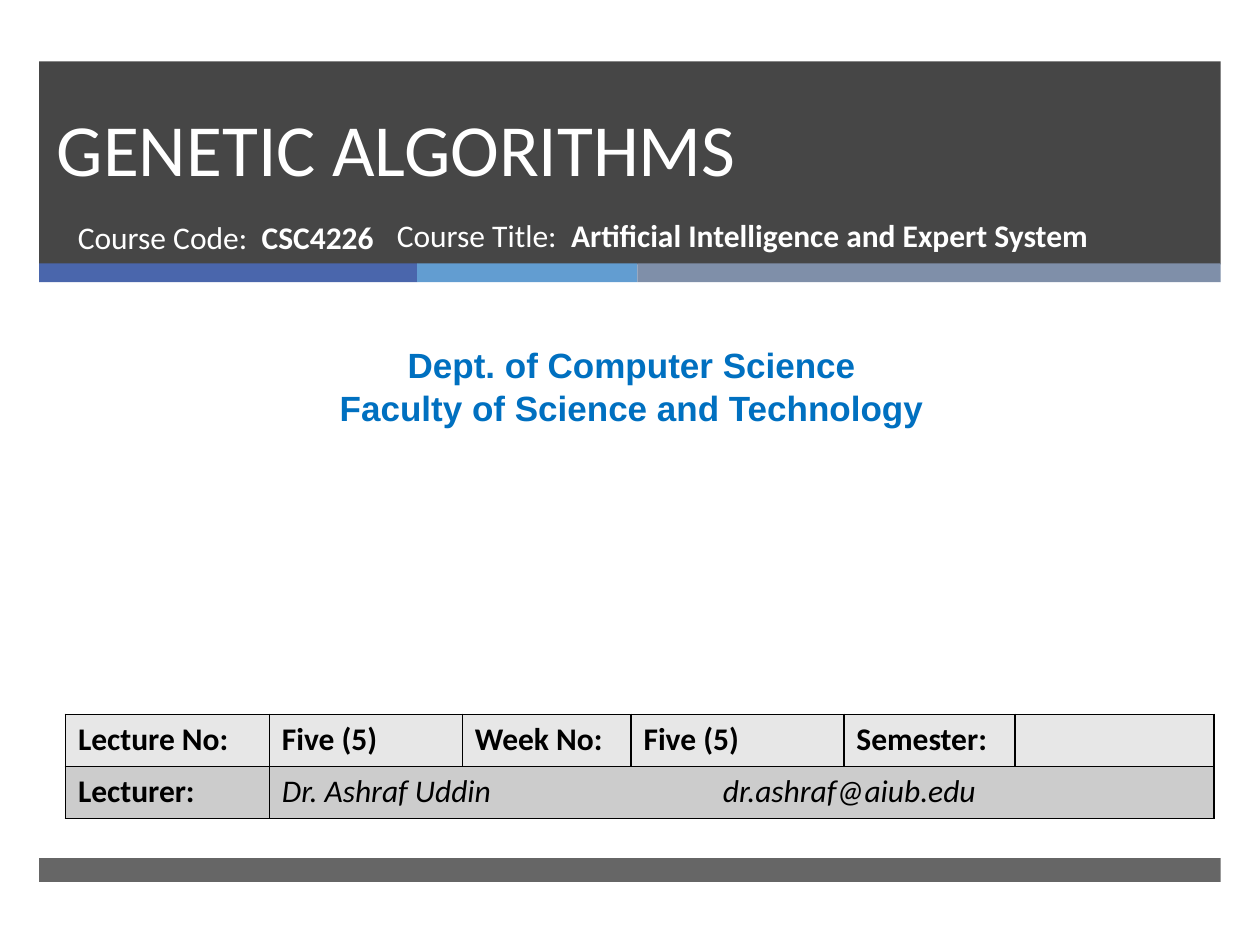
import itertools

import pptx
import pptx.dml.color
import pptx.enum.shapes
import pptx.enum.text
import pptx.oxml
import pptx.oxml.ns
import pptx.util

Cm = pptx.util.Cm
ALIGN = pptx.enum.text.PP_ALIGN
ANCHOR = pptx.enum.text.MSO_ANCHOR
NS = pptx.oxml.ns.nsdecls("a")
BODY = {"name": "Calibri", "size": pptx.util.Pt(18), "bold": False}
BOLD = {**BODY, "bold": True}
TITLE = {**BODY, "size": pptx.util.Pt(42)}
DEPT = {"name": "Arial", "size": pptx.util.Pt(20), "bold": True}


def rgb(value):
    """Return the colour for a hex string."""
    return pptx.dml.color.RGBColor.from_string(value)


def add_run(p, text, fmt, color):
    """Add a run whose font takes the given format values."""
    r = p.add_run()
    r.text = text
    for name, value in fmt.items():
        setattr(r.font, name, value)
    r.font.color.rgb = rgb(color)


def add_bar(s, box, color, alpha=None):
    """Add a plain rectangle, with its opacity in percent if given."""
    sp = s.shapes.add_shape(pptx.enum.shapes.MSO_SHAPE.RECTANGLE, *map(Cm, box))
    sp.shadow.inherit = False
    sp.line.fill.background()
    sp.fill.solid()
    sp.fill.fore_color.rgb = rgb(color)
    if alpha:
        clr = sp.fill._xPr.find(".//" + pptx.oxml.ns.qn("a:srgbClr"))
        clr.append(pptx.oxml.parse_xml(f'<a:alpha {NS} val="{alpha * 1000}"/>'))


def add_text(s, box, lines, color, align=ALIGN.LEFT):
    """Add a wrapped text box from lines of (text, format) runs."""
    tf = s.shapes.add_textbox(*map(Cm, box)).text_frame
    tf.word_wrap = True
    for i, line in enumerate(lines):
        p = tf.add_paragraph() if i else tf.paragraphs[0]
        p.alignment = align
        for text, fmt in line:
            add_run(p, text, fmt, color)


def add_title(s, box, text):
    """Place and format the title placeholder."""
    sp = s.shapes.title
    sp.left, sp.top, sp.width, sp.height = map(Cm, box)
    tf = sp.text_frame
    settings = {"word_wrap": True, "vertical_anchor": ANCHOR.BOTTOM,
                "auto_size": pptx.enum.text.MSO_AUTO_SIZE.NONE}
    for name, value in settings.items():
        setattr(tf, name, value)
    p = tf.paragraphs[0]
    p.alignment = ALIGN.LEFT
    p.line_spacing = pptx.util.Pt(46)
    add_run(p, text, TITLE, "FFFFFF")


def add_header(s, box):
    """Add the banner with its colour strip, title and course details."""
    x, y, w, h = box
    add_bar(s, box, "262626", 85)
    widths = [7.62, 4.44, w - 12.06]
    lefts = itertools.accumulate(widths[:-1], initial=x)
    for left, width, color in zip(lefts, widths, ("4A66AC", "629DD1", "7F8FA9")):
        add_bar(s, (left, y + h - 0.02, width, 0.38), color)
    add_title(s, (x + 0.1, y - 0.27, 21.69, 3.02), "GENETIC ALGORITHMS")
    code = [("Course Code:  ", BODY), ("CSC4226", BOLD)]
    add_text(s, (x + 0.53, y + 3.03, 7.75, 1.35), [code], "FFFFFF")
    course = [("Course Title:  ", BODY),
              ("Artificial Intelligence and Expert System", BOLD)]
    add_text(s, (x + 6.96, y + 3.0, 14.53, 1.35), [course], "FFFFFF")


def add_borders(cell):
    """Draw a black 1 pt line on every side of a cell."""
    pr = cell._tc.get_or_add_tcPr()
    for i, side in enumerate(("lnL", "lnR", "lnT", "lnB")):
        pr.insert(i, pptx.oxml.parse_xml(
            f'<a:{side} {NS} w="12700"><a:solidFill><a:srgbClr val="000000"/>'
            f'</a:solidFill></a:{side}>'))


def add_details(s, box):
    """Add the lecture table."""
    rows = [["Lecture No:", "Five (5)", "Week No:", "Five (5)", "Semester:", ""],
            ["Lecturer:", "Dr. Ashraf Uddin\t\t\t\tdr.ashraf@aiub.edu"]]
    widths = [4.11, 3.89, 3.4, 4.29, 3.45, 4.01]
    table = s.shapes.add_table(len(rows), len(widths), *map(Cm, box)).table
    table.first_row = table.horz_banding = False
    for col, width in zip(table.columns, widths):
        col.width = Cm(width)
    table.cell(1, 1).merge(table.cell(1, 5))
    for i, fill in enumerate(("E7E7E7", "CCCCCC")):
        for cell in table.rows[i].cells:
            cell.fill.solid()
            cell.fill.fore_color.rgb = rgb(fill)
            add_borders(cell)
        for j, text in enumerate(rows[i]):
            fmt = {**BODY, "italic": True} if (i, j) == (1, 1) else BOLD
            if text:
                add_run(table.cell(i, j).text_frame.paragraphs[0], text, fmt, "000000")


def main():
    """Build and save the slide."""
    prs = pptx.Presentation()
    prs.slide_width, prs.slide_height = Cm(25.4), Cm(19.05)
    s = prs.slides.add_slide(prs.slide_layouts.get_by_name("Title Only"))
    add_header(s, (0.79, 1.24, 23.82, 4.09))
    dept = [[("Dept. of Computer Science", DEPT)],
            [("Faculty of Science and Technology", DEPT)]]
    add_text(s, (0.2, 6.81, 25.07, 1.96), dept, "0070C0", ALIGN.CENTER)
    add_details(s, (1.32, 14.4, 23.15, 2.1))
    add_bar(s, (0.79, 17.3, 23.82, 0.48), "262626", 70)
    spTree = s.shapes._spTree
    spTree.append(s.shapes.title._element)
    prs.save("out.pptx")


if __name__ == "__main__":
    main()
